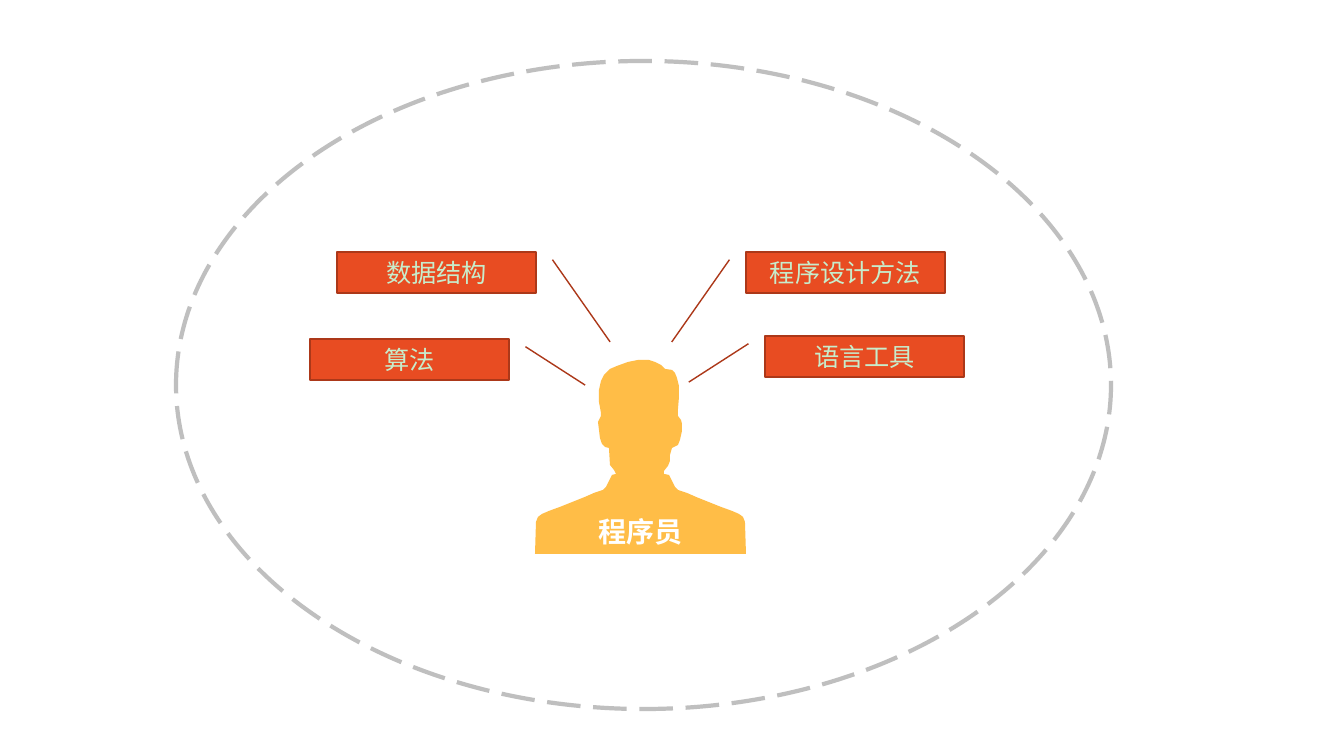
from lxml import etree
from pptx import Presentation
from pptx import util as u
from pptx.dml.color import RGBColor
from pptx.enum import dml, shapes, text
from pptx.oxml import ns

PX = 914400 / 100.8
MIRROR_SUM = 1281

HEAD_RIGHT = [
    (642, 360), (649, 360), (655, 362), (661, 365), (665, 369), (672, 370),
    (675, 373), (677, 378), (679, 386), (679, 397), (678, 409), (678, 416),
    (681, 420), (682, 424), (682, 431), (680, 440), (678, 445), (672, 448),
    (670, 455), (670, 461), (668, 466), (664, 471), (664, 474),
]
SHOULDER = [
    (669, 475), (673, 483), (675, 487), (678, 490), (687, 493), (696, 497),
    (721, 507), (732, 511), (739, 514), (743, 517), (745, 522), (746, 554),
]
HEAD_LEFT = [
    (616, 474), (614, 470), (610, 465), (609, 448), (605, 447), (602, 444),
    (600, 438), (599, 430), (598, 422), (601, 416), (601, 413), (599, 402),
    (599, 390), (601, 381), (604, 375), (610, 369), (617, 366), (628, 362),
    (638, 360),
]
STEEP, SHALLOW = (2.195, 0.373), (1.125, 0.383)
SKILLS = [
    ("算法", 310, 339, "left", SHALLOW),
    ("数据结构", 337, 252, "left", STEEP),
    ("语言工具", 765, 336, "right", SHALLOW),
    ("程序设计方法", 746, 252, "right", STEEP),
]


class ProgrammerSlide:
    """Draw the parts of the programmer slide in one shared style."""

    FONT = "Noto Sans CJK SC"
    COLORS = {
        "background": "FFFFFF",
        "person": "FFBD47",
        "skill": "E84C22",
        "skill_border": "AC3819",
        "skill_text": "C7EDCC",
        "name": "FFFFFF",
        "boundary": "BFBFBF",
    }

    def __init__(self, slide):
        self.slide = slide
        self.paint(slide.background.fill, "background")

    def color(self, key):
        return RGBColor.from_string(self.COLORS[key])

    def paint(self, fill, key):
        fill.solid()
        fill.fore_color.rgb = self.color(key)

    def box(self, *lengths):
        return [round(length * PX) for length in lengths]

    def outline(self, shape, key, width):
        shape.line.color.rgb = self.color(key)
        shape.line.width = u.Pt(width)

    def caption(self, frame, words, size, key, bold=False):
        frame.word_wrap = True
        paragraph = frame.paragraphs[0]
        paragraph.text = words
        paragraph.alignment = text.PP_ALIGN.CENTER
        font = paragraph.font
        font.size, font.bold, font.name = u.Pt(size), bold, self.FONT
        font.color.rgb = self.color(key)
        properties = paragraph._p.find(".//" + ns.qn("a:defRPr"))
        etree.SubElement(properties, ns.qn("a:ea"), typeface=self.FONT)

    def person(self):
        left_shoulder = [(MIRROR_SUM - x, y) for x, y in reversed(SHOULDER)]
        points = HEAD_RIGHT + SHOULDER + left_shoulder + HEAD_LEFT
        builder = self.slide.shapes.build_freeform(*points[0], scale=PX)
        builder.add_line_segments(points[1:], close=True)
        silhouette = builder.convert_to_shape()
        silhouette.shadow.inherit = False
        self.paint(silhouette.fill, "person")
        silhouette.line.fill.background()

    def name(self, words, *place):
        label = self.slide.shapes.add_textbox(*self.box(*place))
        self.caption(label.text_frame, words, 20, "name", bold=True)

    def skill(self, words, left, top, side, pointer):
        callout = self.slide.shapes.add_shape(
            shapes.MSO_SHAPE.LINE_CALLOUT_1, *self.box(left, top, 199, 41))
        callout.shadow.inherit = False
        end_y, reach = pointer
        ends = [0.188, -0.083, end_y, -reach]
        if side == "left":
            ends[1], ends[3] = 1.083, 1 + reach
        for index, value in enumerate(ends):
            callout.adjustments[index] = value
        self.paint(callout.fill, "skill")
        self.outline(callout, "skill_border", 1)
        callout.text_frame.vertical_anchor = text.MSO_ANCHOR.MIDDLE
        self.caption(callout.text_frame, words, 18, "skill_text")

    def boundary(self, *place):
        ellipse = self.slide.shapes.add_shape(
            shapes.MSO_SHAPE.OVAL, *self.box(*place))
        ellipse.shadow.inherit = False
        ellipse.fill.background()
        self.outline(ellipse, "boundary", 3)
        ellipse.line.dash_style = dml.MSO_LINE.LONG_DASH


def main():
    deck = Presentation()
    deck.slide_width, deck.slide_height = round(1344 * PX), round(756 * PX)
    page = ProgrammerSlide(deck.slides.add_slide(deck.slide_layouts[6]))
    page.person()
    page.name("程序员", 585, 510, 112, 44)
    for skill in SKILLS:
        page.skill(*skill)
    page.boundary(176, 61, 935, 648)
    deck.save("out.pptx")


if __name__ == "__main__":
    main()
